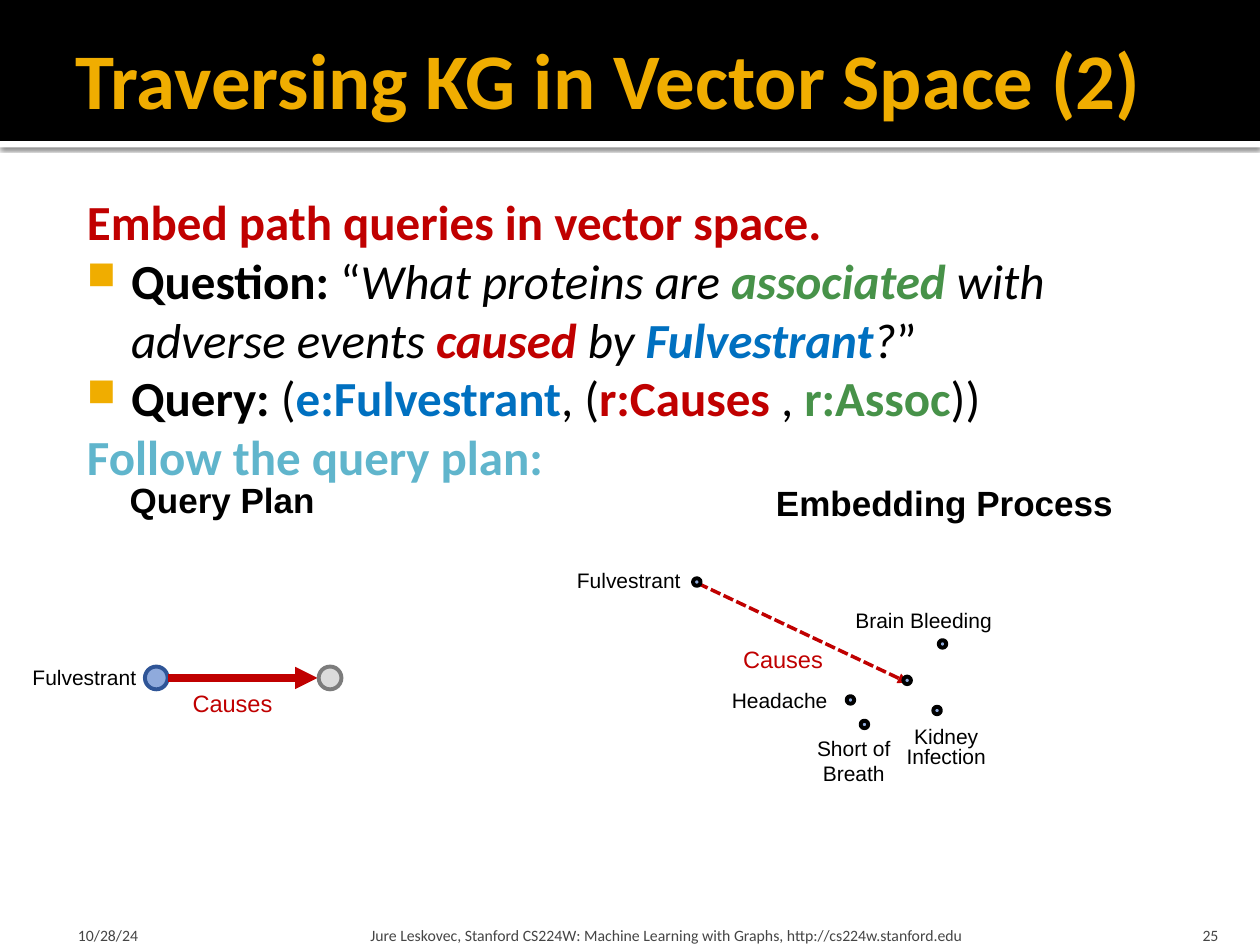
import pptx
import pptx.util
import pptx.oxml
import pptx.dml.color
import pptx.enum.dml
import pptx.enum.shapes
import pptx.enum.text

Pt = pptx.util.Pt
RGB = pptx.dml.color.RGBColor.from_string
Align = pptx.enum.text.PP_ALIGN
Anchor = pptx.enum.text.MSO_ANCHOR
AutoSize = pptx.enum.text.MSO_AUTO_SIZE
Shape = pptx.enum.shapes.MSO_SHAPE

COLORS = {
    "black": "000000", "white": "FFFFFF", "gold": "F0AD00", "gray": "454545",
    "red": "C00000", "green": "479249", "blue": "0070C0", "teal": "60B5CC",
    "node": "8FAADC", "node_edge": "2F5597", "open": "DBDBDB", "open_edge": "7C7C7C",
}
NS = 'xmlns:a="http://schemas.openxmlformats.org/drawingml/2006/main"'


def xml(parent, text):
    parent.append(pptx.oxml.parse_xml(text.replace(">", f" {NS}>", 1) if "/>" not in text.split(">")[0] + ">"
                                      else text.replace("/>", f" {NS}/>", 1)))


class Deck:
    """Holds the slide style and the slide being built."""

    head_font, label_font = "Calibri", "Arial"

    def __init__(self):
        self.prs = pptx.Presentation()
        self.prs.slide_width, self.prs.slide_height = Pt(720), Pt(540)
        self.s = self.prs.slides.add_slide(self.prs.slide_layouts[5])

    def style(self, font, size=None, color=None, bold=None, italic=None, name=None):
        if size:
            font.size = Pt(size)
        if name:
            font.name = name
        if color:
            font.color.rgb = RGB(COLORS[color])
        font.bold, font.italic = bold, italic

    def frame(self, sp, insets, anchor, wrap=True):
        tf = sp.text_frame
        tf.auto_size = AutoSize.NONE if wrap else AutoSize.SHAPE_TO_FIT_TEXT
        tf.word_wrap, tf.vertical_anchor = wrap, anchor
        tf.margin_left, tf.margin_top, tf.margin_right, tf.margin_bottom = map(Pt, insets)
        return tf

    def title(self, text, x, y, w, h):
        sp = self.s.shapes.title
        sp.left, sp.top, sp.width, sp.height = map(Pt, (x, y, w, h))
        tf = self.frame(sp, (7.2, 3.6, 3.6, 3.6), Anchor.MIDDLE)
        tf.text = text
        p = tf.paragraphs[0]
        p.alignment = Align.LEFT
        self.style(p.font, 45, "gold", True, name=self.head_font)
        sp.element.getparent().append(sp.element)

    def shape(self, kind, x, y, w, h, fill, line=None):
        sp = self.s.shapes.add_shape(kind, Pt(x), Pt(y), Pt(w), Pt(h))
        sp.shadow.inherit = False
        sp.fill.solid()
        sp.fill.fore_color.rgb = RGB(COLORS[fill])
        if line:
            sp.line.color.rgb, sp.line.width = RGB(COLORS[line]), Pt(2.25)
        else:
            sp.line.fill.background()
        return sp

    def band(self, y, h, fill, shadow=False):
        sp = self.shape(Shape.RECTANGLE, 0, y, 720, h, fill)
        if shadow:
            effects = sp.element.spPr[-1]
            xml(effects, f'<a:outerShdw blurRad="{Pt(2.5)}" dist="{Pt(0.8)}" dir="5400000">'
                         '<a:srgbClr val="000000"><a:alpha val="60000"/></a:srgbClr></a:outerShdw>')

    def dot(self, cx, cy, d=4.3, fill="node", line="black"):
        self.shape(Shape.OVAL, cx - d / 2, cy - d / 2, d, d, fill, line)

    def arrow(self, x1, y1, x2, y2, width, dash=None):
        c = self.s.shapes.add_connector(pptx.enum.shapes.MSO_CONNECTOR.STRAIGHT,
                                        Pt(x1), Pt(y1), Pt(x2), Pt(y2))
        c.line.color.rgb, c.line.width = RGB(COLORS["red"]), Pt(width)
        if dash:
            c.line.dash_style = dash
        xml(c.line._get_or_add_ln(), '<a:tailEnd type="triangle"/>')
        xml(c.element.spPr, '<a:effectLst/>')

    def label(self, lines, x, y, w, h, size=12, color="black", bold=None, spacing=None):
        sp = self.s.shapes.add_textbox(Pt(x), Pt(y), Pt(w), Pt(h))
        tf = self.frame(sp, (7.2, 3.6, 7.2, 3.6), Anchor.TOP, wrap=False)
        tf.text = lines
        for p in tf.paragraphs:
            if len(tf.paragraphs) > 1:
                p.alignment = Align.CENTER
            if spacing:
                p.line_spacing = Pt(spacing)
            self.style(p.font, size, color, bold, name=self.label_font)

    def footer(self, text, x, w, left, right, align=Align.LEFT):
        sp = self.s.shapes.add_textbox(Pt(x), Pt(518.4), Pt(w), Pt(21.6))
        tf = self.frame(sp, (left, 3.6, right, 0), Anchor.BOTTOM)
        tf.text = text
        p = tf.paragraphs[0]
        p.alignment = align
        self.style(p.font, 9, "gray", name=self.head_font)

    def body(self, paragraphs, x, y, w, h):
        sp = self.s.shapes.add_textbox(Pt(x), Pt(y), Pt(w), Pt(h))
        tf = self.frame(sp, (4.3, 7.2, 7.2, 3.6), Anchor.TOP)
        for i, (bullet, runs) in enumerate(paragraphs):
            p = tf.add_paragraph() if i else tf.paragraphs[0]
            pPr = p._p.get_or_add_pPr()
            pPr.set("marL", str(Pt(34.6 if bullet else 9.4)))
            pPr.set("indent", str(Pt(-25.2 if bullet else 0)))
            if bullet:
                xml(pPr, f'<a:buClr><a:srgbClr val="{COLORS["gold"]}"/></a:buClr>')
                xml(pPr, '<a:buSzPct val="80000"/>')
                xml(pPr, '<a:buChar char="■"/>')
            self.style(p.font, 28, name=self.head_font)
            for text, color, bold, italic in runs:
                r = p.add_run()
                r.text = text
                self.style(r.font, None, color, bold, italic)


def main():
    d = Deck()
    d.band(80.6, 3.6, "white", shadow=True)
    d.band(0, 80.6, "black")
    d.title("Traversing KG in Vector Space (2)", 36, 5.8, 648, 77.8)
    d.footer("10/28/24", 36, 167.8, 8.6, 3.6)
    d.footer("Jure Leskovec, Stanford CS224W: Machine Learning with Graphs, http://cs224w.stanford.edu",
             208, 433.4, 3.6, 3.6)
    d.footer("25", 645.8, 57.6, 7.2, 7.2, Align.RIGHT)

    d.label("Fulvestrant", 11.5, 375.8, 74.2, 21.6, spacing=15)
    d.label("Causes", 103, 390.2, 60.5, 23.8, 13.5, "red")
    d.dot(89.3, 387.4, 13, "node", "node_edge")
    d.arrow(95.8, 387.4, 181.4, 387.4, 4.25)
    d.dot(188.6, 387.4, 13, "open", "open_edge")

    d.label("Causes", 417.6, 365, 60.5, 23.8, 13.5, "red")
    d.arrow(398.9, 333.4, 519.1, 390.2, 2, pptx.enum.dml.MSO_LINE.SQUARE_DOT)
    d.label("Kidney\nInfection", 510.5, 413.3, 60.5, 29.5, spacing=11.2)
    d.label("Short of\nBreath", 459.4, 416.9, 56.9, 36)
    d.label("Brain Bleeding", 481.7, 343.4, 92.9, 21.6)
    d.label("Fulvestrant", 322.6, 320.4, 74.2, 21.6, spacing=15)
    d.label("Headache", 411.1, 389.5, 69.1, 21.6)
    for cx, cy in ((398.2, 332.6), (494, 414), (535.5, 406), (538.6, 368), (518.4, 388.8), (486, 400)):
        d.dot(cx, cy)

    d.label("Embedding Process", 436.3, 271.4, 208.8, 31.7, 20, bold=True)
    d.body([
        (False, [("Embed path queries in vector space.", "red", True, None)]),
        (True, [("Question: ", "black", True, None), ("“", "black", None, None),
                ("What proteins are ", "black", None, True), ("associated", "green", True, True),
                (" with adverse events ", "black", None, True), ("caused", "red", True, True),
                (" by ", "black", None, True), ("Fulvestrant", "blue", True, True),
                ("?", "black", None, True), ("”", "black", None, None)]),
        (True, [("Query: ", "black", True, None), ("(", "black", None, None),
                ("e:Fulvestrant", "blue", True, None), (", (", "black", None, None),
                ("r:Causes ", "red", True, None), (", ", "black", None, None),
                ("r:Assoc", "green", True, None), ("))", "black", None, None)]),
        (False, [("Follow the query plan:", "teal", True, None)]),
    ], 36, 102.2, 648, 175.7)
    d.label("Query Plan", 67, 270, 121, 31.7, 20, bold=True)
    d.prs.save("out.pptx")


if __name__ == "__main__":
    main()
